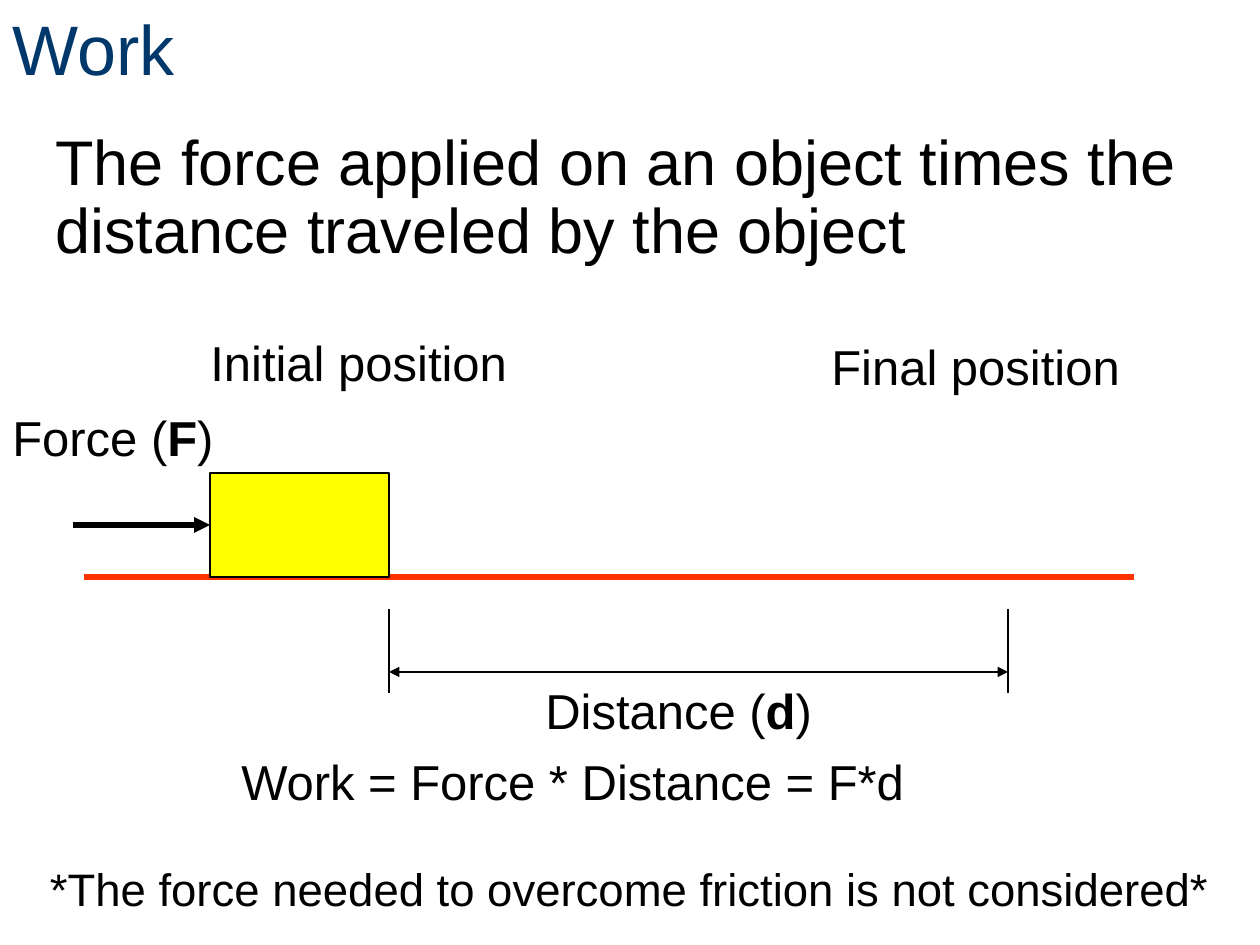
from lxml.etree import SubElement
from pptx import Presentation
from pptx.dml.color import RGBColor
from pptx.enum.shapes import MSO_CONNECTOR, MSO_SHAPE
from pptx.enum.text import MSO_ANCHOR, MSO_AUTO_SIZE, PP_ALIGN
from pptx.oxml.ns import qn
from pptx.util import Emu, Pt

PX_PER_INCH = 126
COLORS = {"title": "00386B", "ink": "000000", "ground": "FF3300", "block": "FFFF00"}
FONT = "Arial"

BLOCK_LEFT, BLOCK_TOP, BLOCK_WIDTH, BLOCK_HEIGHT = 210, 473, 179, 104
START_X, END_X = BLOCK_LEFT + BLOCK_WIDTH, 1008
GROUND_Y = BLOCK_TOP + BLOCK_HEIGHT
FORCE_Y = BLOCK_TOP + BLOCK_HEIGHT // 2
DISTANCE_Y = 672


def px(length):
    return Emu(round(length * 914400 / PX_PER_INCH))


def color(name):
    return RGBColor.from_string(COLORS[name])


def format_font(font, size, color_name="ink"):
    font.name = FONT
    font.size = Pt(size)
    font.color.rgb = color(color_name)


def fill_title(title, text):
    title.left, title.top, title.width, title.height = px(0), px(0), px(1260), px(96)
    title.text_frame.text = text
    title.text_frame.vertical_anchor = MSO_ANCHOR.MIDDLE
    paragraph = title.text_frame.paragraphs[0]
    paragraph.alignment = PP_ALIGN.LEFT
    format_font(paragraph.font, 40, "title")


def add_text(shapes, box, runs, size=28, wrap=False, align=PP_ALIGN.LEFT, spacing=None):
    """Add a text box; every second run is bold."""
    frame = shapes.add_textbox(*map(px, box)).text_frame
    frame.word_wrap = wrap
    frame.auto_size = MSO_AUTO_SIZE.SHAPE_TO_FIT_TEXT
    paragraph = frame.paragraphs[0]
    paragraph.alignment = align
    paragraph.line_spacing = spacing
    format_font(paragraph.font, size)
    for index, text in enumerate(runs):
        run = paragraph.add_run()
        run.text = text
        if index % 2:
            run.font.bold = True


def add_line(shapes, start, end, width=0.75, color_name="ink", arrows=()):
    """Add a straight line; arrows names its ends: headEnd (start), tailEnd (end)."""
    connector = shapes.add_connector(MSO_CONNECTOR.STRAIGHT, *map(px, start + end))
    connector.line.color.rgb = color(color_name)
    connector.line.width = Pt(width)
    for arrow in arrows:
        SubElement(connector.line._get_or_add_ln(), qn(f"a:{arrow}"), type="triangle")
    SubElement(connector._element.spPr, qn("a:effectLst"))


def add_block(shapes):
    block = shapes.add_shape(
        MSO_SHAPE.RECTANGLE, *map(px, (BLOCK_LEFT, BLOCK_TOP, BLOCK_WIDTH, BLOCK_HEIGHT)))
    block.shadow.inherit = False
    block.fill.solid()
    block.fill.fore_color.rgb = color("block")
    block.line.color.rgb = color("ink")
    block.line.width = Pt(0.75)


def add_pushed_block(shapes):
    group = shapes.add_group_shape().shapes
    add_block(group)
    add_line(group, (73, FORCE_Y), (BLOCK_LEFT, FORCE_Y), 3, arrows=["tailEnd"])
    add_text(group, (0, 401, 227, 72), ["Force (", "F", ")"])


def add_distance(shapes):
    for x in (START_X, END_X):
        add_line(shapes, (x, 609), (x, 693))
    add_text(shapes, (533, 674, 292, 72), ["Distance (", "d", ")"])
    add_line(shapes, (START_X, DISTANCE_Y), (END_X, DISTANCE_Y),
             arrows=["headEnd", "tailEnd"])


def main():
    presentation = Presentation()
    presentation.slide_width, presentation.slide_height = px(1260), px(945)
    slide = presentation.slides.add_slide(presentation.slide_layouts[5])
    shapes = slide.shapes

    fill_title(shapes.title, "Work")
    add_text(shapes, (43, 125, 1153, 150),
             ["The force applied on an object times the distance traveled by the object"],
             size=36, wrap=True, spacing=0.9)
    add_line(shapes, (84, GROUND_Y), (1134, GROUND_Y), 3, "ground")
    add_text(shapes, (198, 326, 323, 72), ["Initial position"])
    add_text(shapes, (819, 330, 315, 72), ["Final position"])
    add_distance(shapes)
    add_pushed_block(shapes)
    add_text(shapes, (229, 745, 692, 73), ["Work = Force * Distance = F*d"])
    add_text(shapes, (0, 855, 1260, 68),
             ["*The force needed to overcome friction is not considered*"],
             size=26, wrap=True, align=PP_ALIGN.CENTER)

    presentation.save("out.pptx")


if __name__ == "__main__":
    main()
